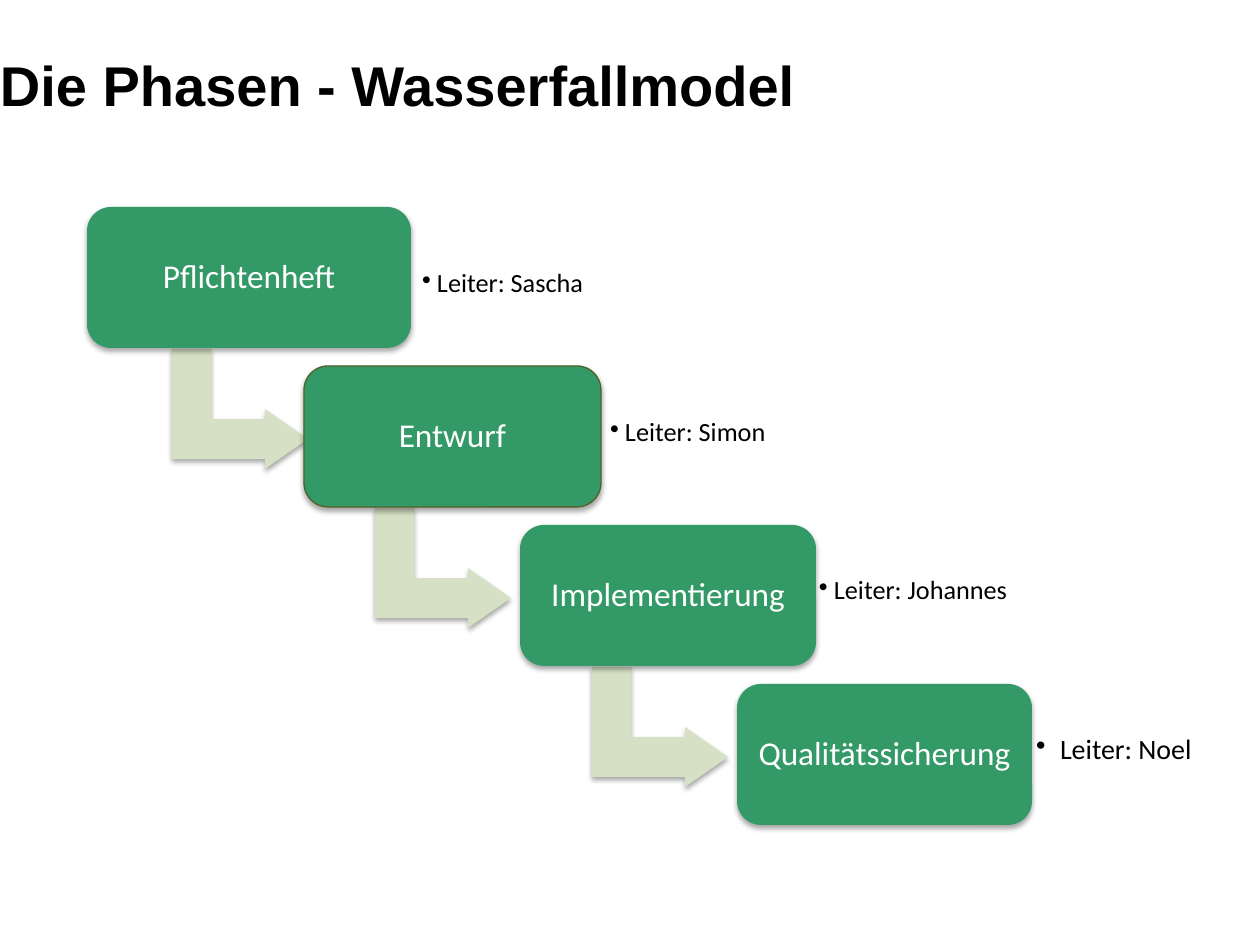
"""Build a slide with the four waterfall phases and their leaders."""
from lxml.etree import SubElement
from pptx import Presentation
from pptx.dml.color import RGBColor
from pptx.enum.shapes import MSO_SHAPE
from pptx.enum.text import MSO_ANCHOR, MSO_AUTO_SIZE, PP_ALIGN
from pptx.oxml import parse_xml
from pptx.oxml.ns import nsdecls, qn
from pptx.util import Emu, Pt

PX = 914400 / 126
COLOURS = {"phase": "339966", "arrow": "D5E0C4", "outline": "4F6228", "light": "FFFFFF", "dark": "000000"}
SHADOW = (
    f'<a:effectLst {nsdecls("a")}><a:outerShdw blurRad="39370" dist="22860" dir="5400000" rotWithShape="0">'
    f'<a:srgbClr val="{COLOURS["dark"]}"><a:alpha val="35000"/></a:srgbClr></a:outerShdw></a:effectLst>'
)
PHASES = [
    ("Pflichtenheft", 87, 324, 180),
    ("Entwurf", 304, 297, 383),
    ("Implementierung", 520, 296, 600),
    ("Qualitätssicherung", 737, 295, None),
]
LEADERS = [
    ("Leiter: Sascha", 412, 228, 232, 15, 15),
    ("Leiter: Simon", 600, 377, 307, 15, 15),
    ("Leiter: Johannes", 809, 535, 290, 15, 15),
    ("Leiter: Noel", 1026, 694, 209, 16, 24),
]
PHASE_PARA = {"alignment": PP_ALIGN.CENTER, "line_spacing": 0.9, "space_after": Pt(7)}
LEADER_PARA = {"alignment": PP_ALIGN.LEFT, "line_spacing": 0.9, "space_after": Pt(2)}


def write_text(box, text, inset, colour, para_format, font_format):
    frame = box.text_frame
    margins = {f"margin_{side}": Emu(int(inset * PX)) for side in ("left", "top", "right", "bottom")}
    for name, value in {"word_wrap": True, "vertical_anchor": MSO_ANCHOR.MIDDLE, **margins}.items():
        setattr(frame, name, value)
    para = frame.paragraphs[0]
    for name, value in para_format.items():
        setattr(para, name, value)
    span = para.add_run()
    span.text = text
    for name, value in font_format.items():
        setattr(span.font, name, value)
    span.font.color.rgb = RGBColor.from_string(COLOURS[colour])
    return para


def add_block(page, kind, bounds, colour, adjustments):
    block = page.shapes.add_shape(kind, *(Emu(int(length * PX)) for length in bounds))
    for index, value in enumerate(adjustments):
        block.adjustments[index] = value
    block.fill.solid()
    block.fill.fore_color.rgb = RGBColor.from_string(COLOURS[colour])
    block.line.fill.background()
    block._element.spPr.append(parse_xml(SHADOW))
    return block


deck = Presentation()
deck.slide_width, deck.slide_height = Emu(int(1260 * PX)), Emu(int(945 * PX))
page = deck.slides.add_slide(deck.slide_layouts[6])

for step, (phase, left, width, arrow_left) in enumerate(PHASES):
    top = 207 + 159 * step
    if arrow_left is not None:
        arrow = add_block(
            page, MSO_SHAPE.BENT_UP_ARROW, (arrow_left, top + 134, 120, 136), "arrow", (0.33, 0.25, 0.36)
        )
        arrow.rotation = 90
    box = add_block(page, MSO_SHAPE.ROUNDED_RECTANGLE, (left, top, width, 141), "phase", (0.17,))
    if phase == "Entwurf":
        box.line.color.rgb = RGBColor.from_string(COLOURS["outline"])
        box.line.width = Pt(0.75)
    write_text(box, phase, 10, "light", PHASE_PARA, {"name": "Calibri", "size": Pt(19)})

    leader, left, top, width, size, indent = LEADERS[step]
    note = page.shapes.add_textbox(*(Emu(int(length * PX)) for length in (left, top, width, 113)))
    para = write_text(note, leader, 10, "dark", LEADER_PARA, {"name": "Calibri", "size": Pt(size)})
    properties = para._p.get_or_add_pPr()
    properties.set("marL", str(int(indent * PX)))
    properties.set("indent", str(int(-indent * PX)))
    SubElement(properties, qn("a:buChar")).set("char", "•")

title = page.shapes.add_textbox(*(Emu(int(length * PX)) for length in (0, 50, 881, 68)))
title.text_frame.auto_size = MSO_AUTO_SIZE.SHAPE_TO_FIT_TEXT
write_text(
    title, "Die Phasen - Wasserfallmodel", 0, "dark",
    {"alignment": PP_ALIGN.LEFT}, {"name": "Arial", "size": Pt(32), "bold": True},
)

deck.save("out.pptx")
